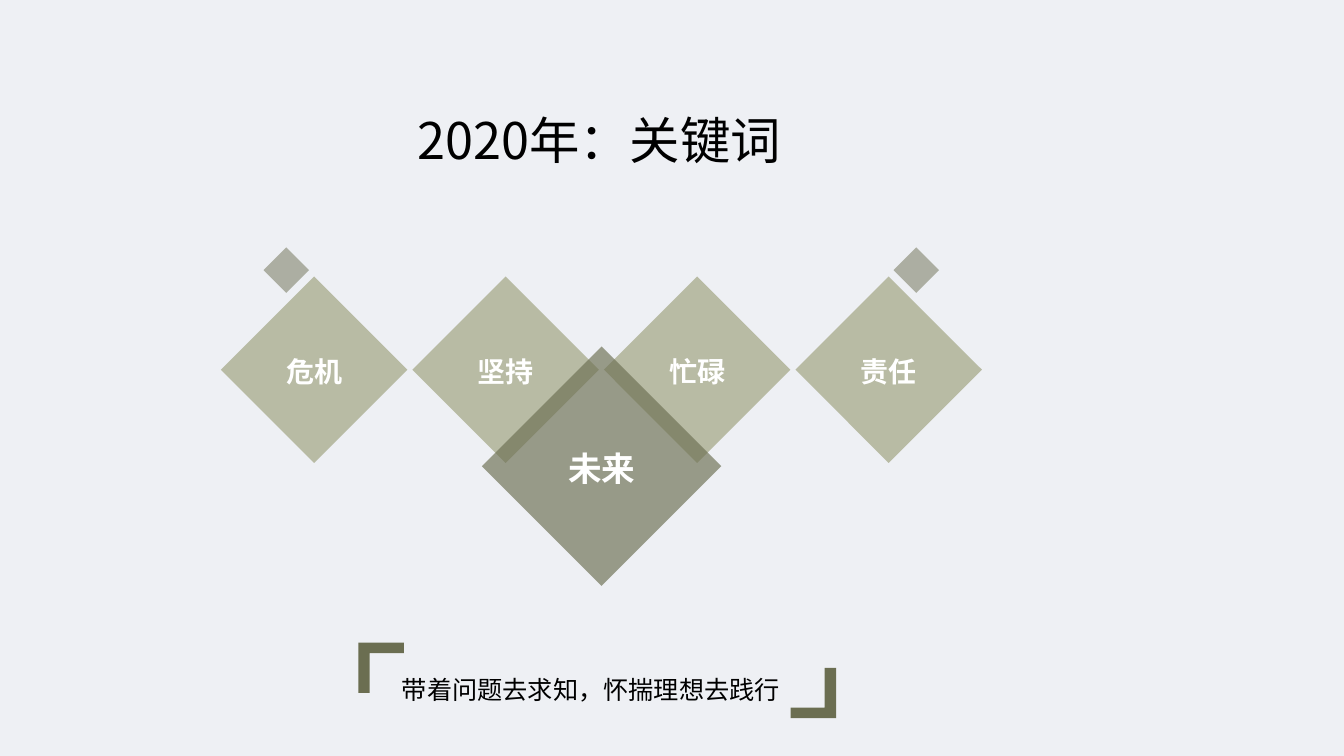
from pptx import Presentation
from pptx.dml.color import RGBColor
from pptx.enum.shapes import MSO_SHAPE as Kind
from pptx.enum.text import MSO_ANCHOR as Anchor, PP_ALIGN as Align
from pptx.oxml.ns import qn
from pptx.util import Pt
from lxml.etree import SubElement as sub

PAPER = RGBColor(0xEE, 0xF0, 0xF4)
OLIVE = RGBColor(0x6B, 0x6E, 0x51)
SAGE = RGBColor(0xAB, 0xAE, 0x91)
WHITE = RGBColor(0xFF, 0xFF, 0xFF)
BLACK = RGBColor(0x00, 0x00, 0x00)
FONT = "Noto Sans CJK SC"


def write(frame, text, align, space, **style):
    """Put one styled paragraph into a text frame."""
    frame.word_wrap = True
    para = frame.paragraphs[0]
    para.alignment = align
    para.line_spacing = space
    run = para.add_run()
    run.text = text
    color = style.pop("color")
    for key, value in {"name": FONT, **style}.items():
        setattr(run.font, key, value)
    run.font.color.rgb = color
    sub(run.font._element, qn("a:ea"), typeface=FONT)


def shape(slide, kind, box, color, alpha=100, turn=0):
    """Add a flat, borderless shape with an opacity in percent."""
    item = slide.shapes.add_shape(kind, *map(Pt, box))
    item.shadow.inherit = False
    item.line.fill.background()
    item.fill.solid()
    item.fill.fore_color.rgb = color
    item.rotation = turn
    if alpha < 100:
        tint = item.fill._xPr.find(".//" + qn("a:srgbClr"))
        sub(tint, qn("a:alpha"), val=str(alpha * 1000))
    return item


def gem(slide, left, top, side, color, alpha, text, size):
    """Add a diamond with a bold keyword."""
    frame = shape(slide, Kind.DIAMOND, (left, top, side, side),
                  color, alpha).text_frame
    for edge in ("left", "top", "right", "bottom"):
        setattr(frame, "margin_" + edge, 0)
    frame.vertical_anchor = Anchor.MIDDLE
    write(frame, text, Align.CENTER, 1.1,
          size=Pt(size), bold=True, color=WHITE)


def label(slide, box, text, align, space, size):
    """Add a plain text box."""
    item = slide.shapes.add_textbox(*map(Pt, box))
    write(item.text_frame, text, align, space, size=Pt(size), color=BLACK)


def main():
    deck = Presentation()
    deck.slide_width, deck.slide_height = Pt(960), Pt(540)
    slide = deck.slides.add_slide(deck.slide_layouts[6])
    slide.background.fill.solid()
    slide.background.fill.fore_color.rgb = PAPER

    # Small accent squares
    for left in (193, 643):
        shape(slide, Kind.RECTANGLE, (left, 181.5, 23, 23), OLIVE, 50, 45)

    # Row of keywords, with the main one in front
    for i, word in enumerate(("危机", "坚持", "忙碌", "责任")):
        gem(slide, 157.8 + 136.8 * i, 197.5, 133.2, SAGE, 80, word, 20)
    gem(slide, 344.2, 247.5, 171, OLIVE, 66, "未来", 24)

    # Motto between two corner brackets
    label(slide, (280, 467.3, 484.5, 34.5), "带着问题去求知，怀揣理想去践行",
          Align.JUSTIFY, 1.5, 18)
    for left, top, turn in ((254.2, 460.8, 90), (563, 478.8, 270)):
        mark = shape(slide, Kind.CORNER, (left, top, 36, 32.4),
                     OLIVE, turn=turn)
        mark.adjustments[0] = 0.25
        mark.adjustments[1] = 0.235

    # Title
    label(slide, (290, 74.2, 276, 51), "2020年：关键词", Align.CENTER, 1, 36)

    deck.save("out.pptx")


if __name__ == "__main__":
    main()
